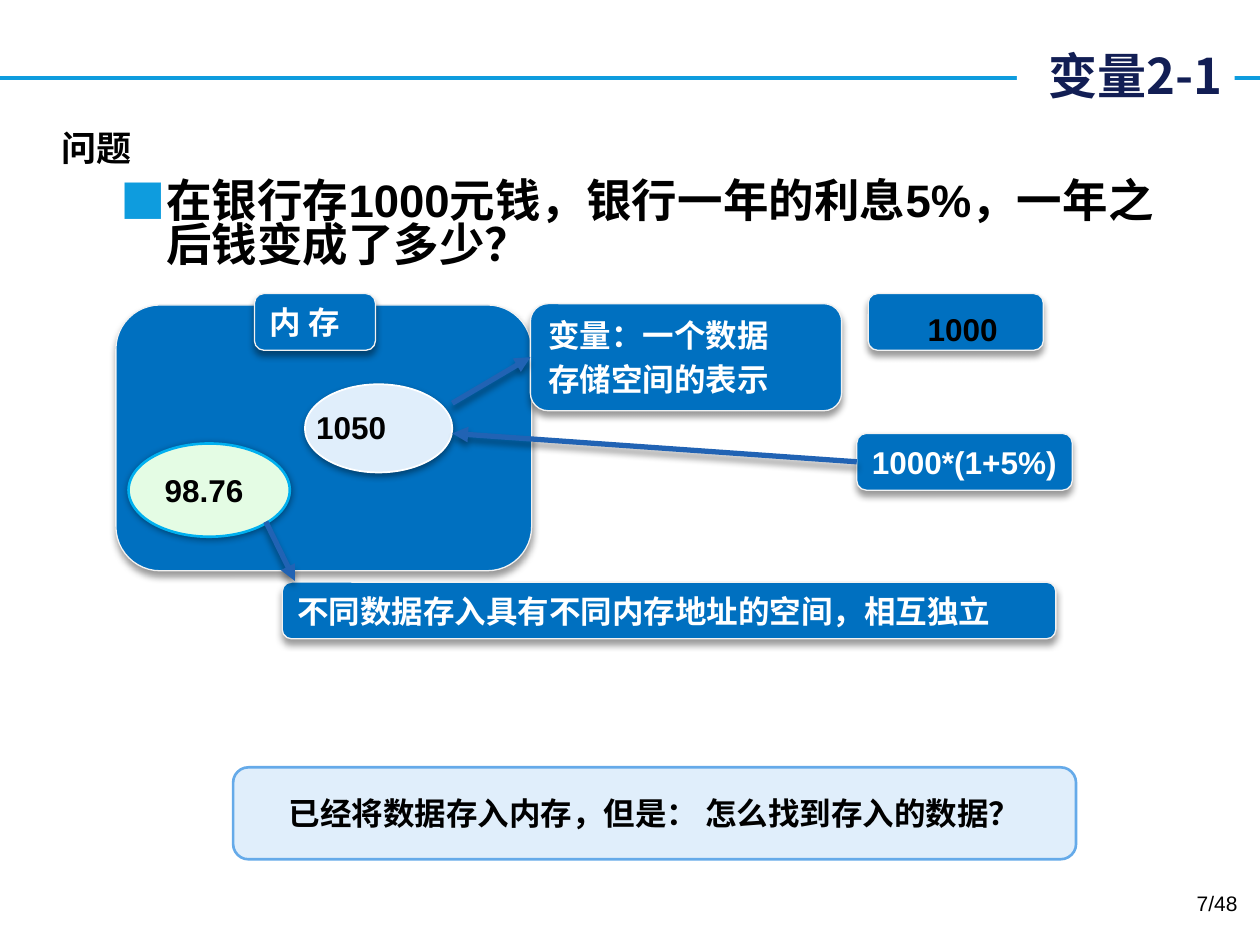
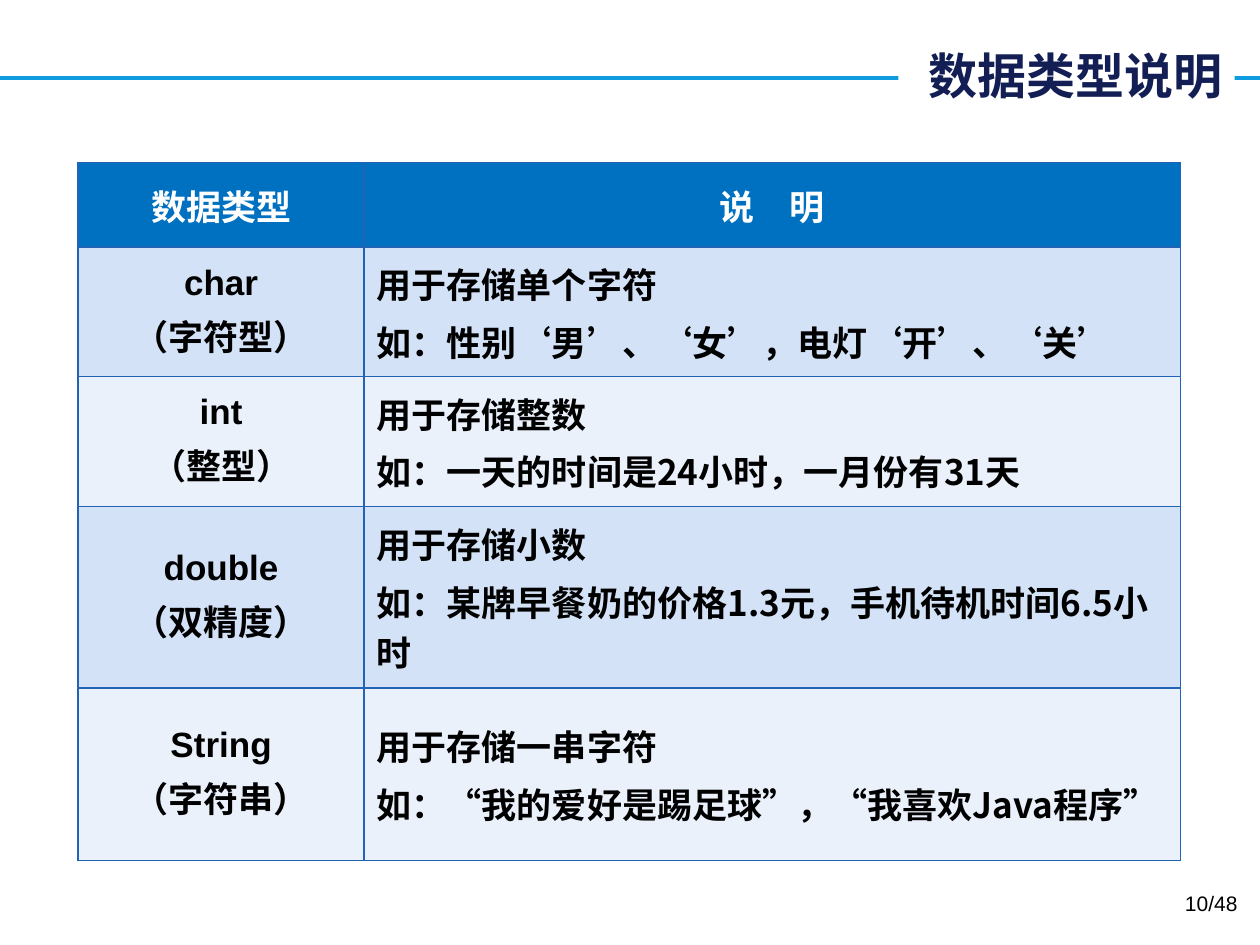
import pptx
import pptx.util
import pptx.dml.color
import pptx.enum.shapes
import pptx.enum.text
import pptx.oxml
import pptx.oxml.ns

THEME = {
    "rule": "0E9CDE", "title": "121E54", "blue": "0070C0", "edge": "F2F2F2",
    "arrow": "2163B4", "pale": "E0EEFB", "pale_edge": "65AAE9",
    "green": "E4FCE4", "cyan": "00B0F0", "white": "FFFFFF", "black": "000000",
    "bands": ("D3E2F7", "EAF1FB"),
    "latin": "Arial", "cjk": "Noto Sans CJK SC",
    "size": {"title": 28, "question": 26, "head": 20, "label": 18, "page": 12},
}
COLS, ROWS = 100, 75
PAGES = 48

QUESTION = "在银行存1000元钱，银行一年的利息5%，一年之后钱变成了多少？"
SHAPES = {
    "result": ("box", (68, 34.4, 17.1, 4.5), ["1000*(1+5%)"]),
    "deposit": ("box", (68.9, 23.3, 13.9, 4.5), []),
    "memory": ("box", (9.2, 24.2, 33, 21.1), []),
    "memory label": ("box", (20.2, 23.3, 9.6, 4.5), ["内 存"]),
    "balance cell": ("balance", (24.2, 30.5, 11.7, 7), []),
    "variable": ("callout", (42.1, 24.1, 24.7, 8.5), ["变量：一个数据", "存储空间的表示"]),
    "price cell": ("price", (10.2, 35.2, 12.8, 7.4), ["98.76"]),
    "address": ("callout", (22.4, 46.2, 61.4, 4.5), ["不同数据存入具有不同内存地址的空间，相互独立"]),
    "prompt": ("prompt", (18.5, 60.9, 66.9, 7.3), ["已经将数据存入内存，但是： 怎么找到存入的数据？"]),
}
TIPS = {"variable": (-0.5, 0.03), "address": (-0.01, -0.5)}
VALUES = [("1000", (64.2, 24.1, 24.4, 4), "CENTER"), ("1050", (24.1, 31.9, 11.8, 4), "LEFT")]
ARROWS = [
    ((35.9, 32), (42.1, 28.4), None, "variable"),
    ((21.1, 41.4), (23.4, 46.1), None, None),
    ((68, 36.7), (35.9, 34.4), "result", None),
]

TABLE_AT = (6.2, 12.9)
TABLE_COLS = (22.7, 64.8)
TABLE_ROWS = (6.7, 10.3, 10.3, 14.4, 13.7)
TABLE = [
    (["数据类型"], ["说　明"]),
    (["char", "（字符型）"], ["用于存储单个字符", "如：性别‘男’、‘女’，电灯‘开’、‘关’"]),
    (["int", "（整型）"], ["用于存储整数", "如：一天的时间是24小时，一月份有31天"]),
    (["double", "（双精度）"], ["用于存储小数", "如：某牌早餐奶的价格1.3元，手机待机时间6.5小时"]),
    (["String", "（字符串）"], ["用于存储一串字符", "如：“我的爱好是踢足球”，“我喜欢Java程序”"]),
]

KIND = pptx.enum.shapes.MSO_SHAPE
ALIGN = pptx.enum.text.PP_ALIGN
MIDDLE = pptx.enum.text.MSO_ANCHOR.MIDDLE
STYLES = {
    "box": (KIND.ROUNDED_RECTANGLE, "blue", "edge", 0.75, "white", "latin", "LEFT", 3),
    "callout": (KIND.ROUNDED_RECTANGULAR_CALLOUT, "blue", "edge", 0.75, "white", "latin", "LEFT", 3),
    "balance": (KIND.OVAL, "pale", "white", 1, "black", "latin", "LEFT", 2),
    "price": (KIND.OVAL, "green", "cyan", 1.5, "black", "latin", "LEFT", 1),
    "prompt": (KIND.ROUNDED_RECTANGLE, "pale", "pale_edge", 1.5, "black", "cjk", "CENTER", 0),
}

prs = pptx.Presentation()
prs.slide_width, prs.slide_height = pptx.util.Inches(10), pptx.util.Inches(7.5)
UNIT_X, UNIT_Y = prs.slide_width / COLS, prs.slide_height / ROWS


def place(*lengths):
    return [round(v * (UNIT_Y if i % 2 else UNIT_X)) for i, v in enumerate(lengths)]


def rgb(name):
    return pptx.dml.color.RGBColor.from_string(THEME.get(name, name))


def xml(tag, attrs="", inner=""):
    ns = pptx.oxml.ns.nsdecls("a")
    return pptx.oxml.parse_xml(f"<a:{tag} {ns} {attrs}>{inner}</a:{tag}>")


def apply(obj, values):
    for name, value in values.items():
        setattr(obj, name, value)


def effects(dist):
    inner = ""
    if dist:
        inner = (f'<a:outerShdw blurRad="{pptx.util.Pt(4)}" dist="{pptx.util.Pt(dist)}" dir="5400000" '
                 'rotWithShape="0"><a:srgbClr val="000000"><a:alpha val="40000"/></a:srgbClr></a:outerShdw>')
    return xml("effectLst", inner=inner)


def write(tf, lines, size, color="black", face="latin", align="LEFT", space=0.2, bold=True):
    tf.word_wrap = True
    for i, text in enumerate(lines):
        p = tf.paragraphs[0] if i == 0 else tf.add_paragraph()
        pts = THEME["size"][size]
        apply(p, {"alignment": getattr(ALIGN, align), "space_before": pptx.util.Pt(pts * space if i else 0)})
        r = p.add_run()
        r.text = text
        apply(r.font, {"name": THEME[face], "size": pptx.util.Pt(pts), "bold": bold})
        r.font.color.rgb = rgb(color)
        props = r.font._element
        props.set("lang", "zh-CN")
        latin = props.find(pptx.oxml.ns.qn("a:latin"))
        latin.addnext(xml("ea", f'typeface="{THEME["cjk"]}"'))


def text_box(slide, at, lines, size, **fmt):
    sp = slide.shapes.add_textbox(*place(*at))
    write(sp.text_frame, lines, size, **fmt)
    return sp


def add_line(slide, start, end, color, width, dist=0):
    line = slide.shapes.add_connector(pptx.enum.shapes.MSO_CONNECTOR.STRAIGHT, *place(*start, *end))
    line.line.color.rgb = rgb(color)
    line.line.width = pptx.util.Pt(width)
    line._element.spPr.append(effects(dist))
    return line


def add_slide(title, title_left, page):
    slide = prs.slides.add_slide(prs.slide_layouts[6])
    add_line(slide, (0, 6.2), (COLS, 6.2), "rule", 2.25)
    sp = text_box(slide, (title_left, 3.1, 98 - title_left, 5.7), [title], "title",
                  color="title", face="cjk", align="RIGHT")
    sp.text_frame.vertical_anchor = MIDDLE
    sp.fill.solid()
    sp.fill.fore_color.rgb = rgb("white")
    text_box(slide, (75.9, 70.2, 23.3, 4), [f"{page}/{PAGES}"], "page", align="RIGHT", bold=False)
    return slide


def add_shape(slide, name):
    style, at, lines = SHAPES[name]
    kind, fill, edge, width, color, face, align, dist = STYLES[style]
    sp = slide.shapes.add_shape(kind, *place(*at))
    sp.shadow.inherit = False
    sp.fill.solid()
    sp.fill.fore_color.rgb = rgb(fill)
    sp.line.color.rgb = rgb(edge)
    sp.line.width = pptx.util.Pt(width)
    if dist:
        spPr = sp._element.spPr
        spPr.remove(spPr.find(pptx.oxml.ns.qn("a:effectLst")))
        spPr.append(effects(dist))
    for i, value in enumerate(TIPS.get(name, ())):
        sp.adjustments[i] = value
    tf = sp.text_frame
    apply(tf, {"vertical_anchor": MIDDLE, "margin_right": 0 if align == "LEFT" else tf.margin_right})
    write(tf, lines, "label", color, face, align)
    return sp


def variable_slide():
    slide = add_slide("变量2-1", 80.7, 7)
    heading = text_box(slide, (3.9, 9.5, 9, 4.4), ["问题"], "head", face="cjk")
    heading.text_frame.vertical_anchor = MIDDLE
    props = heading.text_frame.paragraphs[0].runs[0].font._element
    props.find(pptx.oxml.ns.qn("a:latin")).addprevious(effects(2))

    question = text_box(slide, (8.6, 13.9, 86.7, 15.7), [QUESTION], "question")
    p = question.text_frame.paragraphs[0]
    p.line_spacing = 0.82
    pPr = p._p.get_or_add_pPr()
    indent = pptx.util.Inches(0.36)
    pPr.set("marL", str(indent))
    pPr.set("indent", str(-indent))
    pPr.append(xml("buClr", inner=f'<a:srgbClr val="{THEME["rule"]}"/>'))
    pPr.append(xml("buFont", f'typeface="{THEME["cjk"]}"'))
    pPr.append(xml("buChar", 'char="■"'))

    shapes = {name: add_shape(slide, name) for name in SHAPES}
    for value, at, align in VALUES:
        text_box(slide, at, [value], "label", align=align)
    for start, end, source, target in ARROWS:
        line = add_line(slide, start, end, "arrow", 3, 3)
        line.line._get_or_add_ln().append(xml("tailEnd", 'type="triangle"'))
        if source:
            line.begin_connect(shapes[source], 1)
        if target:
            line.end_connect(shapes[target], 1)


def types_slide():
    slide = add_slide("数据类型说明", 71.3, 10)
    at = place(*TABLE_AT, sum(TABLE_COLS), sum(TABLE_ROWS))
    table = slide.shapes.add_table(len(TABLE), len(TABLE_COLS), *at).table
    for col, width in zip(table.columns, TABLE_COLS):
        col.width = round(width * UNIT_X)
    for i, (row, height) in enumerate(zip(table.rows, TABLE_ROWS)):
        row.height = round(height * UNIT_Y)
        for j, cell in enumerate(row.cells):
            cell.vertical_anchor = MIDDLE
            cell.fill.solid()
            cell.fill.fore_color.rgb = rgb(THEME["bands"][(i - 1) % 2] if i else "blue")
            write(cell.text_frame, TABLE[i][j], "head", "black" if i else "white",
                  "cjk" if j or not i else "latin", "LEFT" if i and j else "CENTER")
            tcPr = cell._tc.get_or_add_tcPr()
            for k, side in enumerate("LRTB"):
                fill = f'<a:solidFill><a:srgbClr val="{THEME["arrow"]}"/></a:solidFill>'
                tcPr.insert(k, xml(f"ln{side}", f'w="{pptx.util.Pt(1)}"', fill))


def main():
    variable_slide()
    types_slide()
    prs.save("out.pptx")


if __name__ == "__main__":
    main()
